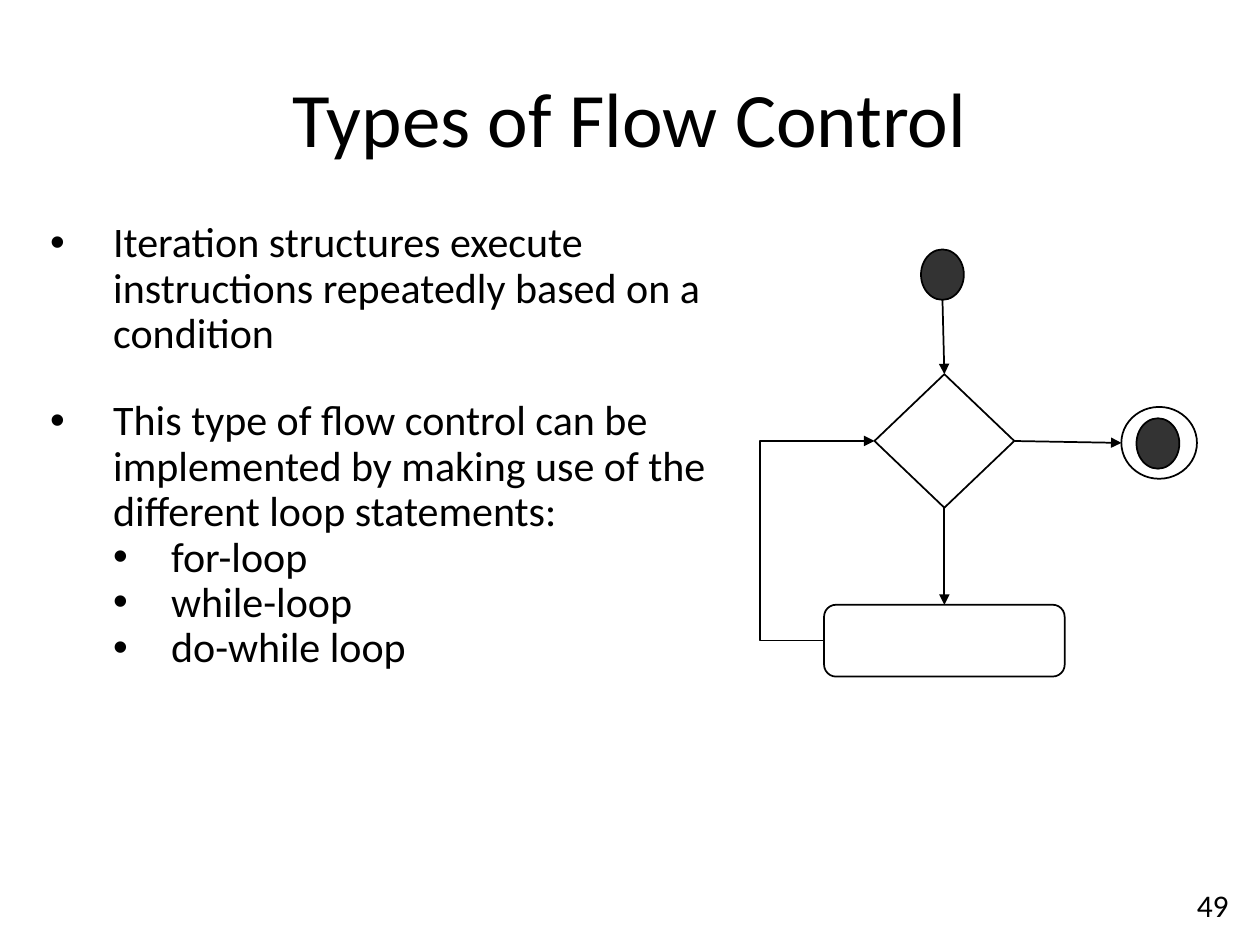
from lxml import etree
from pptx import Presentation
from pptx.dml.color import RGBColor
from pptx.enum.shapes import MSO_CONNECTOR, MSO_SHAPE
from pptx.enum.text import MSO_ANCHOR, PP_ALIGN
from pptx.oxml.ns import qn
from pptx.util import Inches, Pt

BLACK, DARK, FONT = "000000", "333333", "Calibri"
STRAIGHT, ELBOW = MSO_CONNECTOR.STRAIGHT, MSO_CONNECTOR.ELBOW
DISC = MSO_SHAPE.FLOWCHART_CONNECTOR
TOP, LEFT, BOTTOM, RIGHT = range(4)

# Content
TITLE, PAGE = "Types of Flow Control", "49"
# text, level, space before in points
POINTS = [
    ("Iteration structures execute instructions repeatedly based on a condition", 0, 0),
    ("This type of flow control can be implemented by making use of the "
     "different loop statements:", 0, 24),
    ("for-loop", 1, 0),
    ("while-loop", 1, 0),
    ("do-while loop", 1, 0),
]
INDENT = [(0.5, -0.5), (0.96, -0.46)]  # left margin, first line by level
# name: shape, left, top, width, height, fill
NODES = {
    "test": (MSO_SHAPE.DIAMOND, 6.94, 2.97, 1.11, 1.06, None),
    "body": (MSO_SHAPE.ROUNDED_RECTANGLE, 6.54, 4.8, 1.91, 0.57, None),
    "start": (DISC, 7.31, 1.98, 0.34, 0.4, DARK),
    "stop": (DISC, 9.02, 3.32, 0.34, 0.4, DARK),
    "ring": (DISC, 8.9, 3.23, 0.6, 0.57, None),
}
# kind, from node, side, to node, side
FLOWS = [
    (STRAIGHT, "start", BOTTOM, "test", TOP),
    (STRAIGHT, "test", RIGHT, "ring", LEFT),
    (STRAIGHT, "test", BOTTOM, "body", TOP),
    (ELBOW, "body", LEFT, "test", LEFT),
]
LOOP_X = 6.03  # where the loop turns back


def color(code):
    return RGBColor.from_string(code)


def style(para, size, align):
    para.alignment = align
    for run in para.runs:
        run.font.name, run.font.size = FONT, Pt(size)
        run.font.color.rgb = color(BLACK)


def place(shape, *box):
    shape.left, shape.top, shape.width, shape.height = map(Inches, box)


def outline(shape):
    shape.line.color.rgb = color(BLACK)
    shape.line.width = Pt(1)


def bullet(para, level):
    props = para._p.get_or_add_pPr()
    for key, size in zip(("marL", "indent"), INDENT[level]):
        props.set(key, str(Inches(size)))
    etree.SubElement(props, qn("a:buFont"), typeface="Arial")
    etree.SubElement(props, qn("a:buChar"), char="•")


def side(name, spot):
    _, x, y, w, h, _ = NODES[name]
    return [(x + w / 2, y), (x, y + h / 2), (x + w / 2, y + h), (x + w, y + h / 2)][spot]


deck = Presentation()
deck.slide_width, deck.slide_height = Inches(10), Inches(7.5)
slide = deck.slides.add_slide(deck.slide_layouts[5])
shapes = slide.shapes

# Title
title = shapes.title
place(title, 0.5, 0.3, 9, 1.25)
title.text_frame.text = TITLE
title.text_frame.vertical_anchor = MSO_ANCHOR.MIDDLE
style(title.text_frame.paragraphs[0], 44, PP_ALIGN.CENTER)

# Page number
page = shapes.add_textbox(*map(Inches, (8, 7.08, 1.85, 0.3))).text_frame
page.word_wrap = True
page.vertical_anchor = MSO_ANCHOR.BOTTOM
page.text = PAGE
style(page.paragraphs[0], 18, PP_ALIGN.RIGHT)

# Bullets
frame = shapes.add_textbox(*map(Inches, (0.3, 1.71, 5.69, 5.08))).text_frame
frame.word_wrap = True
frame.text = "\n".join(text for text, _, _ in POINTS)
for para, (_, level, gap) in zip(frame.paragraphs, POINTS):
    para.level = level
    para.line_spacing = 0.9
    para.space_before = Pt(gap)
    bullet(para, level)
    style(para, 24, PP_ALIGN.LEFT)

# Flow chart nodes
made = {}
for name, (kind, *box, fill) in NODES.items():
    node = made[name] = shapes.add_shape(kind, *map(Inches, box))
    node.shadow.inherit = False
    outline(node)
    if fill:
        node.fill.solid()
        node.fill.fore_color.rgb = color(fill)
    else:
        node.fill.background()

# Flow chart arrows
for kind, src, out, dest, into in FLOWS:
    (x1, y1), (x2, y2) = side(src, out), side(dest, into)
    arrow = shapes.add_connector(kind, *map(Inches, (x1, y1, x2, y2)))
    outline(arrow)
    etree.SubElement(arrow.line._get_or_add_ln(), qn("a:tailEnd"), type="triangle")
    props = arrow._element.spPr
    etree.SubElement(props, qn("a:effectLst"))
    if kind == ELBOW:
        turn = round((LOOP_X - x1) / (x2 - x1) * 100000)
        guides = props.find(qn("a:prstGeom")).get_or_add_avLst()
        etree.SubElement(guides, qn("a:gd"), name="adj1", fmla=f"val {turn}")
        continue
    if NODES[src][0] != DISC:
        arrow.begin_connect(made[src], out)
    if NODES[dest][0] != DISC:
        arrow.end_connect(made[dest], into)

deck.save("out.pptx")
